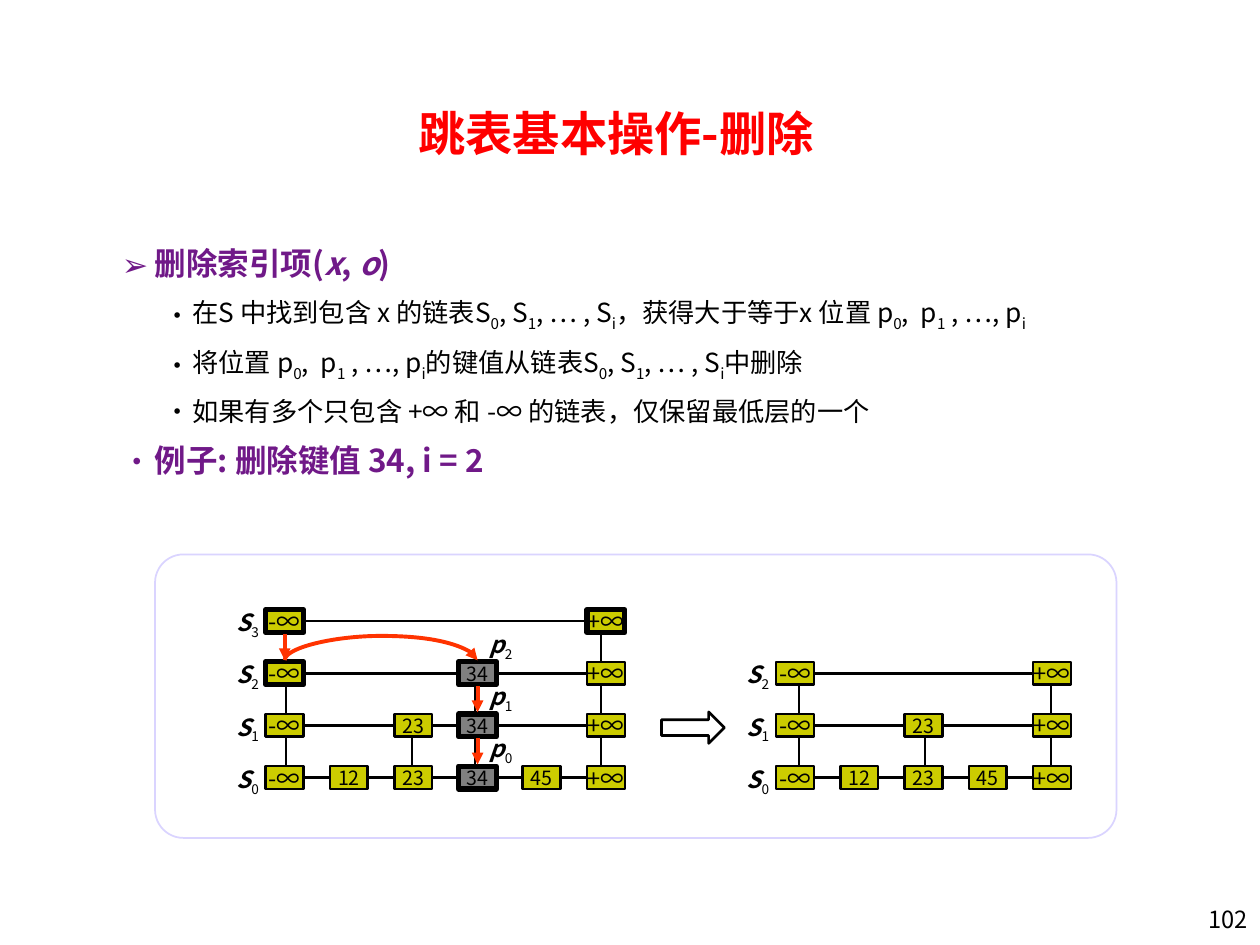
from dataclasses import dataclass
from itertools import pairwise

from lxml.etree import SubElement
from pptx import Presentation
from pptx.dml.color import RGBColor
from pptx.enum.shapes import MSO_CONNECTOR, MSO_SHAPE
from pptx.enum.text import MSO_ANCHOR, PP_ALIGN
from pptx.oxml.ns import qn
from pptx.util import Pt

FONT = "Noto Sans CJK SC"
COLORS = {
    "black": "000000", "white": "FFFFFF", "title": "FF0000", "heading": "701988",
    "panel": "DAD4FF", "node": "CCCC00", "deleted": "808080", "search": "FF3300",
}
CELL_WIDTH, CELL_HEIGHT = 21.6, 13
COLUMN_STEP, ROW_STEP, TOWER_STEP = 36.72, 29.8, 36
BASE_TOP = 437.8


@dataclass
class SkipList:
    left: float
    tower_offset: float
    levels: list[list[str]]  # from S0 upwards
    heavy: set[tuple[int, str]]


@dataclass
class Bullet:
    text: str  # *italic*, _ lowers the next letter
    mark: str
    level: int
    spacing: float


BEFORE = SkipList(
    151.9, 11.5,
    [["-∞", "12", "23", "34", "45", "+∞"], ["-∞", "23", "34", "+∞"],
     ["-∞", "34", "+∞"], ["-∞", "+∞"]],
    {(3, "-∞"), (3, "+∞"), (2, "-∞"), (2, "34"), (1, "34"), (0, "34")},
)
AFTER = SkipList(
    443.5, 13,
    [["-∞", "12", "23", "45", "+∞"], ["-∞", "23", "+∞"], ["-∞", "+∞"]],
    set(),
)
BULLETS = [
    Bullet("删除索引项(*x*, *o*)", "➢", 0, 0.9),
    Bullet("在S 中找到包含 x 的链表S_0, S_1, … , S_i，获得大于等于x 位置 p_0,  p_1 , …, p_i",
           "•", 1, 1.4),
    Bullet("将位置 p_0,  p_1 , …, p_i的键值从链表S_0, S_1, … , S_i中删除", "•", 1, 1.4),
    Bullet("如果有多个只包含 +∞ 和 -∞ 的链表，仅保留最低层的一个", "•", 1, 1.4),
    Bullet("例子: 删除键值 34, i = 2", "•", 0, 1.4),
]


def color(name: str) -> RGBColor:
    return RGBColor.from_string(COLORS[name])


def style(para, size: float, ink: str = "black", bold: bool = False) -> None:
    font = para.font
    font.name, font.size, font.bold = FONT, Pt(size), bold
    font.color.rgb = color(ink)
    defaults = para._p.pPr.find(qn("a:defRPr"))
    SubElement(defaults, qn("a:ea")).set("typeface", FONT)


def add_spans(para, text: str) -> None:
    for index, part in enumerate(text.split("*")):
        first, *lowered = part.split("_")
        if first:
            span = para.add_run()
            span.text = first
            if index % 2:
                span.font.italic = True
        for piece in lowered:
            span = para.add_run()
            span.text, span.font.bold = piece[0], False
            span._r.get_or_add_rPr().set("baseline", "-25000")
            if piece[1:]:
                para.add_run().text = piece[1:]


def add_text(page, left, top, width, height, text="", size=13.5, ink="black",
             bold=False, align=PP_ALIGN.LEFT, anchor=MSO_ANCHOR.TOP, wrap=True):
    box = page.shapes.add_textbox(Pt(left), Pt(top), Pt(width), Pt(height))
    frame = box.text_frame
    frame.word_wrap, frame.vertical_anchor = wrap, anchor
    if text:
        para = frame.paragraphs[0]
        para.alignment = align
        style(para, size, ink, bold)
        add_spans(para, text)
    return frame


def add_label(page, left: float, top: float, text: str) -> None:
    add_text(page, left, top, 28.4, 23.8, text, bold=True,
             align=PP_ALIGN.CENTER, wrap=False)


def add_bullet(para, bullet: Bullet) -> None:
    margin, hanging = ((18.7, -18.7), (40.3, -15.8))[bullet.level]
    para.level, para.line_spacing = bullet.level, bullet.spacing
    para.space_before = Pt(0)
    properties = para._p.get_or_add_pPr()
    properties.set("marL", str(Pt(margin)))
    properties.set("indent", str(Pt(hanging)))
    SubElement(properties, qn("a:buFont")).set("typeface", FONT)
    SubElement(properties, qn("a:buChar")).set("char", bullet.mark)
    if bullet.level:
        style(para, 15)
    else:
        style(para, 18, "heading", bold=True)
    add_spans(para, bullet.text)


def add_shape(page, kind, left, top, width, height, fill=None, ink="black", weight=1.5):
    shape = page.shapes.add_shape(kind, Pt(left), Pt(top), Pt(width), Pt(height))
    shape.shadow.inherit = False
    if fill:
        shape.fill.solid()
        shape.fill.fore_color.rgb = color(fill)
    else:
        shape.fill.background()
    shape.line.color.rgb, shape.line.width = color(ink), Pt(weight)
    return shape


def add_line(page, x1, y1, x2, y2, arrow=False, kind=MSO_CONNECTOR.STRAIGHT):
    line = page.shapes.add_connector(kind, Pt(x1), Pt(y1), Pt(x2), Pt(y2))
    line.line.color.rgb = color("search" if arrow else "black")
    line.line.width = Pt(2.25 if arrow else 1.5)
    if arrow:
        SubElement(line.line._get_or_add_ln(), qn("a:tailEnd")).set("type", "triangle")
    SubElement(line._element.spPr, qn("a:effectLst"))
    return line


def add_arc(page, x1: float, x2: float, y: float, rise: float) -> None:
    """Arched arrow: a thin upright curve turned by a quarter."""
    middle, half, thin = (x1 + x2) / 2, (x2 - x1) / 2, 0.1
    arc = add_line(page, middle, y + half, middle + thin, y - half, True,
                   MSO_CONNECTOR.CURVE)
    properties = arc._element.spPr
    properties.find(qn("a:xfrm")).set("rot", "5400000")
    guide = SubElement(properties.find(qn("a:prstGeom")).find(qn("a:avLst")), qn("a:gd"))
    guide.set("name", "adj1")
    guide.set("fmla", f"val {round(-rise / thin * 100000)}")


def row_top(level: int) -> float:
    return BASE_TOP - level * ROW_STEP


def add_cell(page, left: float, top: float, key: str, heavy: bool) -> None:
    cell = add_shape(page, MSO_SHAPE.RECTANGLE, left, top, CELL_WIDTH, CELL_HEIGHT,
                     "deleted" if key == "34" else "node", weight=3 if heavy else 1.5)
    frame = cell.text_frame
    frame.word_wrap, frame.vertical_anchor = False, MSO_ANCHOR.MIDDLE
    frame.margin_top = frame.margin_bottom = 0
    para = frame.paragraphs[0]
    para.alignment = PP_ALIGN.CENTER
    style(para, 13.5 if "∞" in key else 11.2)
    add_spans(para, key)


def draw_skip_list(page, skip: SkipList) -> None:
    base = skip.levels[0]
    # Towers behind the cells
    for key in skip.levels[1]:
        x = skip.left + skip.tower_offset + base.index(key) * TOWER_STEP
        highest = max(n for n, keys in enumerate(skip.levels) if key in keys)
        add_line(page, x, row_top(highest) + CELL_HEIGHT, x, BASE_TOP)
    # Rows of linked cells
    for level, keys in enumerate(skip.levels):
        top = row_top(level)
        lefts = [skip.left + base.index(key) * COLUMN_STEP for key in keys]
        for start, end in pairwise(lefts):
            y = top + CELL_HEIGHT / 2
            add_line(page, start + CELL_WIDTH, y, end, y)
        for left, key in zip(lefts, keys):
            add_cell(page, left, top, key, (level, key) in skip.heavy)
        add_label(page, skip.left - 24.5, top - 4.4, f"*S*_{level}")


def main() -> None:
    deck = Presentation()
    deck.slide_width, deck.slide_height = Pt(720), Pt(540)
    page = deck.slides.add_slide(deck.slide_layouts[6])

    # Panel, page number and title
    panel = add_shape(page, MSO_SHAPE.ROUNDED_RECTANGLE, 88.6, 316.8, 549.4, 162,
                      "white", "panel", 1)
    panel.adjustments[0] = 0.1
    add_text(page, 683.3, 513.4, 45.4, 37.4, "102")
    add_text(page, 54, 49, 596.2, 53.3, "跳表基本操作-删除", 27, "title", True,
             PP_ALIGN.CENTER, MSO_ANCHOR.MIDDLE)

    # Explanation
    frame = add_text(page, 62.6, 138.2, 707.8, 296)
    for index, bullet in enumerate(BULLETS):
        add_bullet(frame.add_paragraph() if index else frame.paragraphs[0], bullet)

    # Lists before and after the deletion
    draw_skip_list(page, BEFORE)
    draw_skip_list(page, AFTER)
    add_shape(page, MSO_SHAPE.RIGHT_ARROW, 378, 406.8, 36, 18)

    # Search path
    start_x, found_x = 162.7, 272.9
    add_arc(page, start_x, found_x, 377.3, 12.2)
    for x, level in ((start_x, 3), (found_x, 2), (found_x, 1)):
        add_line(page, x, row_top(level) + 14, x, row_top(level - 1) - 1, arrow=True)
    for level in range(3):
        add_label(page, 272.2, row_top(level) - 21.8, f"*p*_{level}")

    deck.save("out.pptx")


if __name__ == "__main__":
    main()
